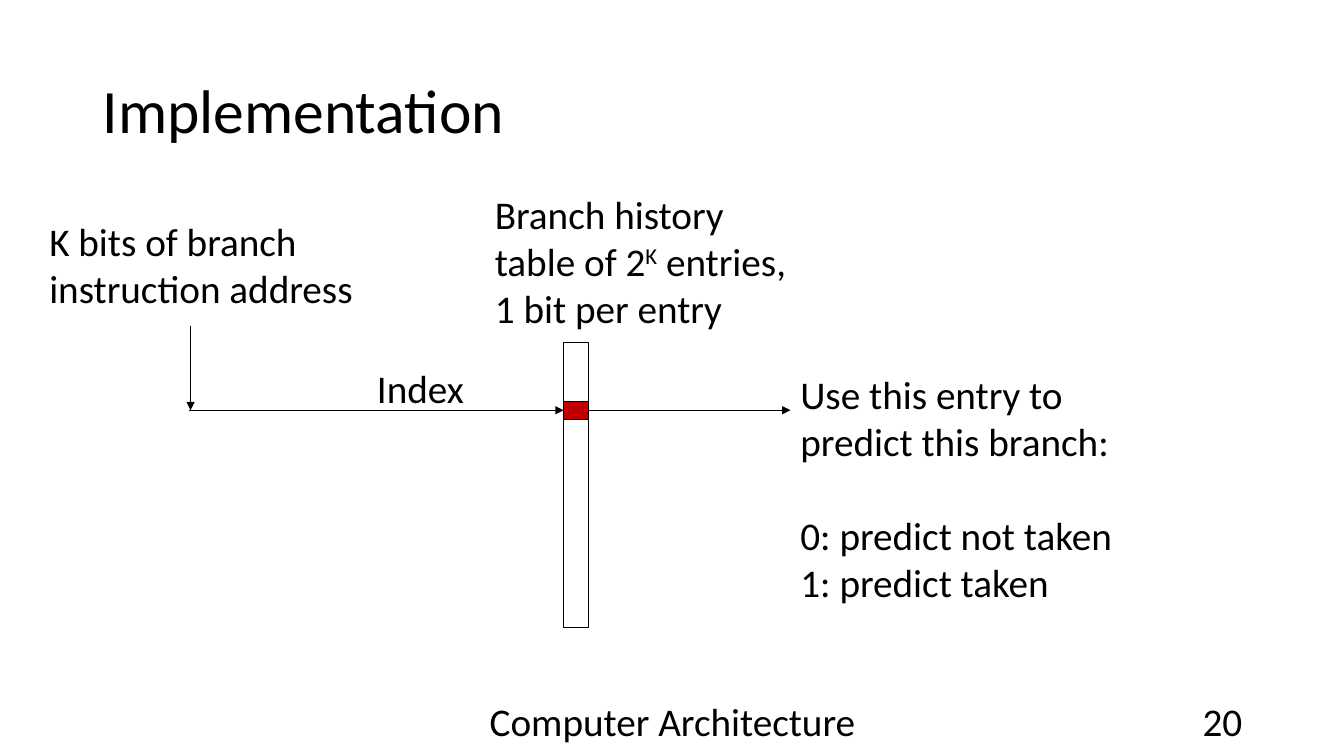
from lxml import etree
from pptx import Presentation
from pptx.dml.color import RGBColor
from pptx.enum.shapes import MSO_CONNECTOR as Connector, MSO_SHAPE as Shape
from pptx.enum.text import MSO_ANCHOR as Anchor, PP_ALIGN as Align
from pptx.oxml.ns import qn
from pptx.util import Inches, Pt

THEME = {
    "font": "Calibri",
    "ink": RGBColor(0, 0, 0),
    "entry": RGBColor(0xC0, 0, 0),
    "title": Pt(44),
    "body": Pt(28),
    "line": Pt(0.75),
    "blank_line": Pt(33.6),
}

TITLE = ("Implementation", (0.92, 0.4, 11.5, 1.45))
FOOTERS = [
    ("Computer Architecture", (4.42, 6.95, 4.5, 0.4), Align.CENTER),
    ("20", (9.42, 6.95, 3, 0.4), Align.RIGHT),
]
LABELS = [
    (["K bits of branch\ninstruction address"], (0.39, 2.11, 3.25, 1.04)),
    (["Index"], (3.64, 3.57, 1.07, 0.57)),
    (["Branch history\ntable of 2^K^ entries,\n1 bit per entry"], (4.81, 1.84, 3.14, 1.51)),
]
PREDICTION = (
    ["Use this entry to\npredict this branch:", "0: predict not taken", "1: predict taken"],
    (7.84, 3.62, 3.33, 2.46),
)

TABLE_LEFT, TABLE_TOP, TABLE_WIDTH, TABLE_HEIGHT = 5.59, 3.4, 0.25, 2.83
ENTRY_HEIGHT = 0.18
INDEX_Y = 4.07
ADDRESS_X, ADDRESS_BOTTOM, INDEX_START = 1.89, 3.23, 1.87
TABLE_RIGHT = TABLE_LEFT + TABLE_WIDTH


def inches(values):
    return [Inches(value) for value in values]


def write_paragraph(paragraph, text, size):
    for part_number, part in enumerate(text.split("^")):
        for line_number, line in enumerate(part.split("\n")):
            if line_number:
                paragraph.add_line_break()
            run = paragraph.add_run()
            run.text = line
            run.font.name = THEME["font"]
            run.font.size = size
            run.font.color.rgb = THEME["ink"]
            if part_number % 2:
                run.font._element.set("baseline", "30000")


def add_text(slide, texts, box, size=THEME["body"], align=Align.LEFT, anchor=Anchor.TOP, wrap=False):
    frame = slide.shapes.add_textbox(*inches(box)).text_frame
    frame.word_wrap = wrap
    frame.vertical_anchor = anchor
    for number, text in enumerate(texts):
        paragraph = frame.add_paragraph() if number else frame.paragraphs[0]
        paragraph.alignment = align
        write_paragraph(paragraph, text, size)
    return frame


def add_box(slide, box, fill=None):
    shape = slide.shapes.add_shape(Shape.RECTANGLE, *inches(box))
    shape.shadow.inherit = False
    if fill is None:
        shape.fill.background()
    else:
        shape.fill.solid()
        shape.fill.fore_color.rgb = fill
    shape.line.color.rgb = THEME["ink"]
    shape.line.width = THEME["line"]
    return shape


def add_arrow(slide, *ends):
    arrow = slide.shapes.add_connector(Connector.STRAIGHT, *inches(ends))
    arrow.line.color.rgb = THEME["ink"]
    arrow.line.width = THEME["line"]
    etree.SubElement(arrow.line._get_or_add_ln(), qn("a:tailEnd"), type="triangle")
    etree.SubElement(arrow._element.spPr, qn("a:effectLst"))
    return arrow


def main():
    presentation = Presentation()
    presentation.slide_width, presentation.slide_height = inches((13.33, 7.5))
    slide = presentation.slides.add_slide(presentation.slide_layouts[6])

    title, title_box = TITLE
    title_frame = add_text(slide, [title], title_box, THEME["title"], anchor=Anchor.MIDDLE, wrap=True)
    title_frame.paragraphs[0].line_spacing = 0.9
    for text, box, align in FOOTERS:
        add_text(slide, [text], box, align=align, anchor=Anchor.MIDDLE, wrap=True)

    add_box(slide, (TABLE_LEFT, TABLE_TOP, TABLE_WIDTH, TABLE_HEIGHT))
    entry_top = INDEX_Y - ENTRY_HEIGHT / 2
    entry = add_box(slide, (TABLE_LEFT, entry_top, TABLE_WIDTH, ENTRY_HEIGHT), THEME["entry"])

    add_arrow(slide, ADDRESS_X, ADDRESS_BOTTOM, ADDRESS_X, INDEX_Y)
    index_arrow = add_arrow(slide, INDEX_START, INDEX_Y, TABLE_LEFT, INDEX_Y)
    index_arrow.end_connect(entry, 1)
    prediction_arrow = add_arrow(slide, TABLE_RIGHT, INDEX_Y, PREDICTION[1][0], INDEX_Y)
    prediction_arrow.begin_connect(entry, 3)

    for texts, box in LABELS:
        add_text(slide, texts, box)
    prediction_frame = add_text(slide, *PREDICTION)
    prediction_frame.paragraphs[1].space_before = THEME["blank_line"]

    presentation.save("out.pptx")


if __name__ == "__main__":
    main()
